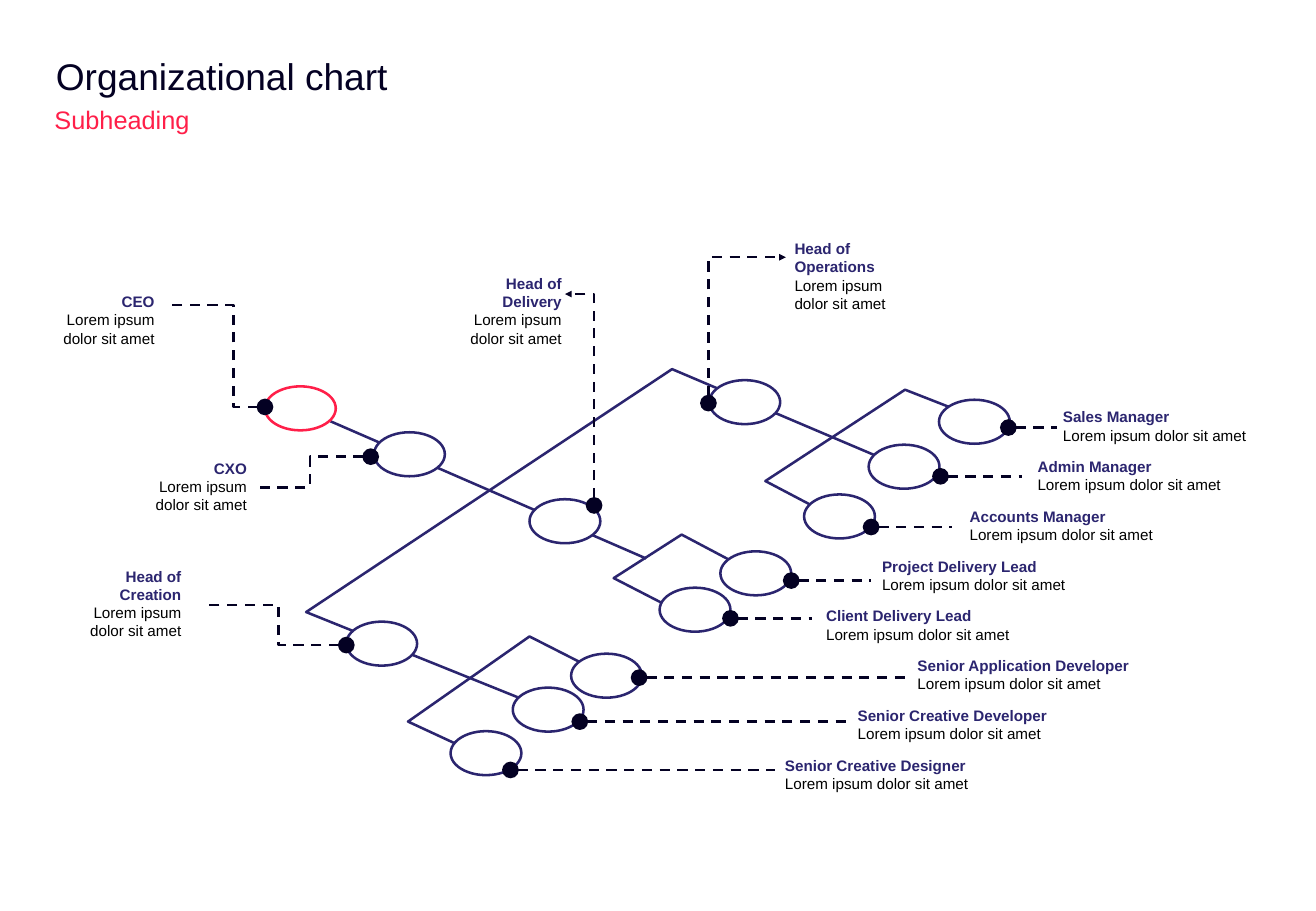
from dataclasses import dataclass

from pptx import Presentation
from pptx.dml.color import RGBColor as RGB
from pptx.enum.dml import MSO_LINE
from pptx.enum.shapes import MSO_CONNECTOR, MSO_SHAPE
from pptx.enum.text import MSO_ANCHOR as ANCHOR, PP_ALIGN as ALIGN
from pptx.oxml.ns import qn
from pptx.oxml.xmlchemy import OxmlElement
from pptx.util import Cm, Pt


@dataclass(frozen=True)
class Theme:
    font: str = "Arial"
    ink: RGB = RGB(0x04, 0x01, 0x23)
    indigo: RGB = RGB(0x2B, 0x25, 0x6F)
    red: RGB = RGB(0xFF, 0x1F, 0x49)
    black: RGB = RGB(0, 0, 0)
    white: RGB = RGB(0xFF, 0xFF, 0xFF)
    title: Pt = Pt(22)
    subheading: Pt = Pt(15)
    body: Pt = Pt(9)
    stroke: Pt = Pt(1.5)


theme = Theme()
prs = Presentation()
prs.slide_width, prs.slide_height = Cm(27.51), Cm(19.05)
slide = prs.slides.add_slide(prs.slide_layouts[6])
shapes = slide.shapes


def write(text, left, top, width, height, size, color,
          bold=False, align=ALIGN.LEFT, anchor=ANCHOR.TOP):
    box = shapes.add_textbox(Cm(left), Cm(top), Cm(width), Cm(height))
    frame = box.text_frame
    frame.margin_left = frame.margin_right = 0
    frame.margin_top = frame.margin_bottom = 0
    frame.word_wrap = True
    frame.vertical_anchor = anchor
    frame.text = text
    paragraph = frame.paragraphs[0]
    paragraph.alignment = align
    font = paragraph.runs[0].font
    font.name, font.size, font.bold = theme.font, size, bold
    font.color.rgb = color
    return paragraph


def draw_route(points, color, ends=(), dashed=False):
    """Draw a line through points; ends lists (tag, type, size)."""
    corners = [(Cm(x), Cm(y)) for x, y in points]
    if len(corners) == 2:
        route = shapes.add_connector(MSO_CONNECTOR.STRAIGHT, *corners[0], *corners[1])
        route._element.spPr.append(OxmlElement("a:effectLst"))
    else:
        builder = shapes.build_freeform(*corners[0], scale=1.0)
        builder.add_line_segments(corners[1:], close=False)
        route = builder.convert_to_shape()
        route.fill.background()
        route.shadow.inherit = False
    route.line.color.rgb = color
    route.line.width = theme.stroke
    if dashed:
        route.line.dash_style = MSO_LINE.DASH
    outline = route._element.spPr.find(qn("a:ln"))
    for tag, kind, size in ends:
        end = OxmlElement(tag)
        end.set("type", kind)
        end.set("w", size)
        end.set("len", size)
        outline.append(end)


# Reporting lines
reporting_lines = [
    [(19.84, 8.51), (18.92, 8.15), (16, 10.06), (16.97, 10.57)],
    [(13.82, 12.6), (12.83, 12.09), (14.25, 11.18), (15.29, 11.73)],
    [(9.5, 15.54), (8.53, 15.09), (11.07, 13.31), (12.17, 13.87)],
    [(6.91, 8.81), (13.51, 11.68)],
    [(10.82, 14.58), (6.4, 12.8), (14.05, 7.72), (18.31, 9.53)],
]
for points in reporting_lines:
    draw_route(points, theme.indigo)

# Positions, with the CEO first
positions = [
    (5.54, 8.08), (7.82, 9.04), (11.07, 10.44), (7.24, 13), (14.83, 7.95),
    (19.63, 8.36), (18.16, 9.3), (16.81, 10.34), (15.06, 11.53),
    (13.79, 12.29), (11.94, 13.67), (10.72, 14.38), (9.42, 15.29),
]
for index, (left, top) in enumerate(positions):
    position = shapes.add_shape(MSO_SHAPE.OVAL, Cm(left), Cm(top), Cm(1.48), Cm(0.92))
    position.shadow.inherit = False
    position.fill.solid()
    position.fill.fore_color.rgb = theme.white
    position.line.color.rgb = theme.indigo if index else theme.red
    position.line.width = theme.stroke

# Executives: role, left, top of description, role lines, alignment, leader, arrow
executives = [
    ("CEO", 1.17, 6.5, 1, ALIGN.RIGHT,
     [(5.54, 8.51), (4.88, 8.51), (4.88, 6.38), (3.53, 6.38)], False),
    ("Head of Delivery", 9.68, 6.5, 2, ALIGN.RIGHT,
     [(12.42, 10.57), (12.42, 6.15), (11.81, 6.15)], True),
    ("Head of Operations", 16.61, 5.77, 2, ALIGN.LEFT,
     [(14.81, 8.43), (14.81, 5.38), (16.43, 5.38)], True),
    ("CXO", 3.1, 9.98, 1, ALIGN.RIGHT,
     [(7.75, 9.55), (6.48, 9.55), (6.48, 10.19), (5.33, 10.19)], False),
    ("Head of Creation", 1.73, 12.62, 2, ALIGN.RIGHT,
     [(7.24, 13.49), (5.82, 13.49), (5.82, 12.65), (4.29, 12.65)], False),
]

# Staff, one row each: role, left, width, leader start x, y, leader end x
staff = [
    ("Sales Manager", 22.22, 4.29, 21.08, 8.94, 22.1),
    ("Admin Manager", 21.69, 4.29, 19.66, 9.96, 21.36),
    ("Accounts Manager", 20.27, 4.29, 18.21, 11.02, 19.91),
    ("Project Delivery Lead", 18.44, 4.29, 16.54, 12.14, 18.21),
    ("Client Delivery Lead", 17.27, 4.29, 15.27, 12.93, 16.97),
    ("Senior Application Developer", 19.18, 5.31, 13.36, 14.17, 18.95),
    ("Senior Creative Developer", 17.93, 5.31, 12.12, 15.09, 17.7),
    ("Senior Creative Designer", 16.41, 5.31, 10.67, 16.1, 16.21),
]

# Labels and dashed leaders
LINE_HEIGHT, EXECUTIVE_WIDTH = 0.39, 2.06
STAFF_TOP, STAFF_STEP = 8.91, 1.04
labels = [
    (role, left, seam, EXECUTIVE_WIDTH, lines, 2, align, leader, arrow)
    for role, left, seam, lines, align, leader, arrow in executives
] + [
    (role, left, STAFF_TOP + row * STAFF_STEP, width, 1, 1, ALIGN.LEFT,
     [(start, y), (end, y)], False)
    for row, (role, left, width, start, y, end) in enumerate(staff)
]
for role, left, seam, width, role_lines, text_lines, align, leader, arrow in labels:
    role_height = role_lines * LINE_HEIGHT
    write(role, left, seam - role_height, width, role_height,
          theme.body, theme.indigo, True, align, ANCHOR.BOTTOM)
    write("Lorem ipsum dolor sit amet", left, seam, width, text_lines * LINE_HEIGHT,
          theme.body, theme.black, align=align)
    ends = [("a:headEnd", "oval", "lg")]
    if arrow:
        ends.append(("a:tailEnd", "triangle", "sm"))
    draw_route(leader, theme.ink, ends, dashed=True)

# Heading
write("Organizational chart", 1.17, 1.12, 25.2, 0.94, theme.title, theme.ink)
subheading = write("Subheading", 1.14, 2.06, 9.02, 0.71, theme.subheading, theme.red)
subheading.line_spacing = 1.2

prs.save("out.pptx")
